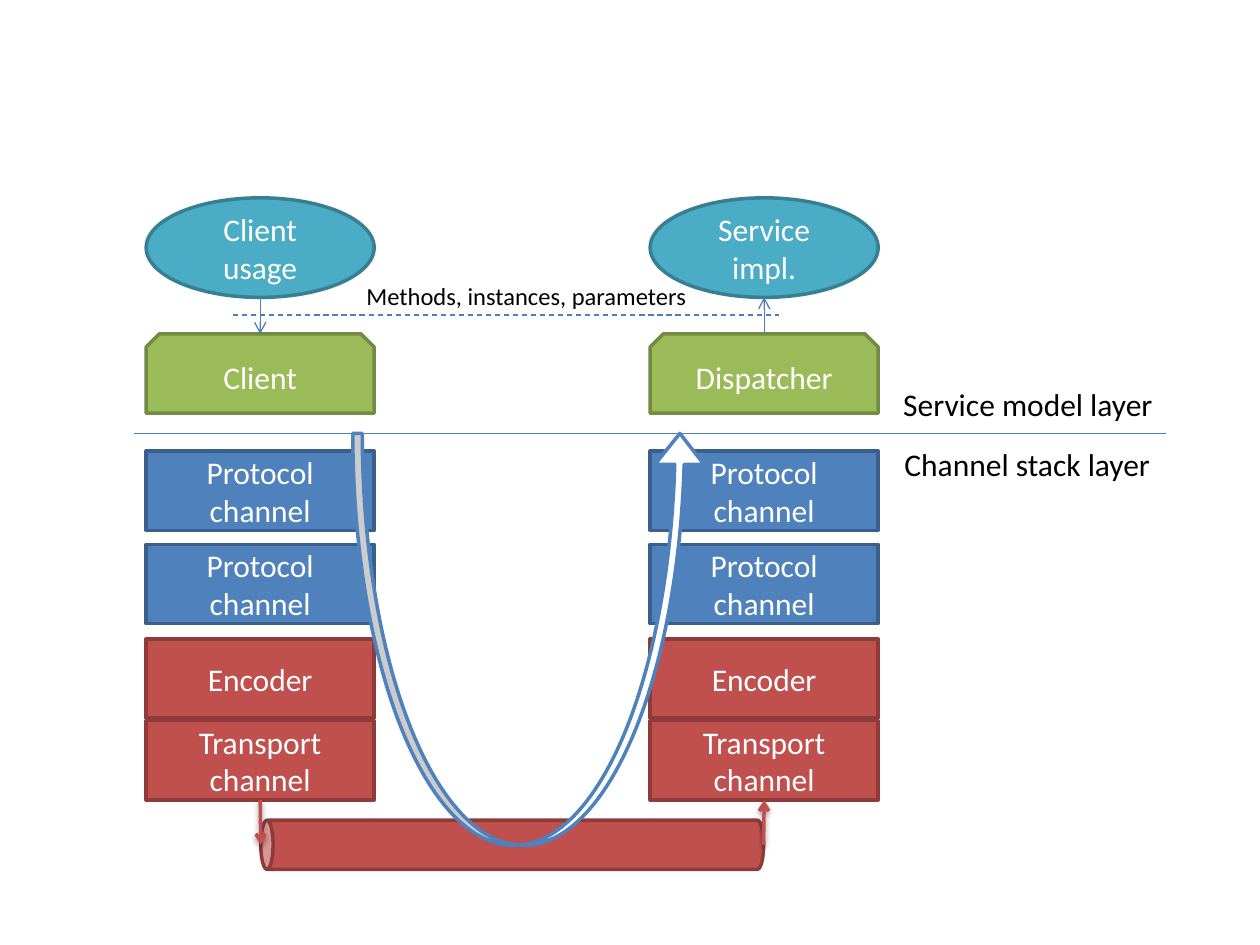
import pptx
import pptx.util
import pptx.dml.color
import pptx.enum.dml
import pptx.enum.shapes
import pptx.enum.text
import pptx.oxml
import pptx.oxml.ns

Inches = pptx.util.Inches
Pt = pptx.util.Pt
SHAPE = pptx.enum.shapes.MSO_SHAPE
ALIGN = pptx.enum.text.PP_ALIGN

COLORS = {
    "white": "FFFFFF", "black": "000000",
    "protocol": "4F81BD", "protocol_edge": "3A5F8C",
    "transport": "C0504D", "transport_edge": "8E3B39",
    "endpoint": "9BBB59", "endpoint_edge": "738A42",
    "user": "4BACC6", "user_edge": "377F92",
    "rule": "4B7EBC",
}
COLUMN_WIDTH = 1.81
BLOCK_HEIGHT = 0.63
OVAL_HEIGHT = 0.79


def rgb(name):
    return pptx.dml.color.RGBColor.from_string(COLORS[name])


def write_text(frame, text, size=18, color="black", align=ALIGN.LEFT, wrap=True):
    frame.word_wrap = wrap
    paragraph = frame.paragraphs[0]
    paragraph.alignment = align
    run = paragraph.add_run()
    run.text = text
    run.font.name = "Calibri"
    run.font.size = Pt(size)
    run.font.color.rgb = rgb(color)


def add_block(slide, kind, box, fill, edge, text=None):
    shape = slide.shapes.add_shape(kind, *map(Inches, box))
    shape.shadow.inherit = False
    shape.fill.solid()
    shape.fill.fore_color.rgb = rgb(fill)
    shape.line.color.rgb = rgb(edge)
    shape.line.width = Pt(2)
    if text:
        shape.text_frame.vertical_anchor = pptx.enum.text.MSO_ANCHOR.MIDDLE
        write_text(shape.text_frame, text, color="white", align=ALIGN.CENTER)
    return shape


def add_label(slide, box, text, size=18):
    label = slide.shapes.add_textbox(*map(Inches, box))
    write_text(label.text_frame, text, size=size, wrap=False)
    label.text_frame.auto_size = pptx.enum.text.MSO_AUTO_SIZE.SHAPE_TO_FIT_TEXT


def add_line(slide, start, end, color="rule", width=0.75, arrow=False,
             dashed=False, shadow=False):
    line = slide.shapes.add_connector(
        pptx.enum.shapes.MSO_CONNECTOR.STRAIGHT, *map(Inches, start + end))
    line.line.color.rgb = rgb(color)
    line.line.width = Pt(width)
    if dashed:
        line.line.dash_style = pptx.enum.dml.MSO_LINE.DASH
    if arrow:
        pptx.oxml.ns.qn("a:tailEnd")
        tail = pptx.oxml.parse_xml(
            f'<a:tailEnd {pptx.oxml.ns.nsdecls("a")} type="arrow"/>')
        line.line._get_or_add_ln().append(tail)
    outer = (
        '<a:outerShdw blurRad="40000" dist="20000" dir="5400000" rotWithShape="0">'
        f'<a:srgbClr val="{COLORS["black"]}"><a:alpha val="38000"/></a:srgbClr>'
        '</a:outerShdw>') if shadow else ""
    line._element.spPr.append(pptx.oxml.parse_xml(
        f'<a:effectLst {pptx.oxml.ns.nsdecls("a")}>{outer}</a:effectLst>'))
    return line


def add_channel_stack(slide, left, top):
    """Stack the channels downwards and return the transport block."""
    blocks = [
        ("Protocol channel", 0, "protocol"),
        ("Protocol channel", 0.74, "protocol"),
        ("Encoder", 1.49, "transport"),
        ("Transport channel", 2.14, "transport"),
    ]
    for text, offset, fill in blocks:
        block = add_block(
            slide, SHAPE.RECTANGLE,
            (left, top + offset, COLUMN_WIDTH, BLOCK_HEIGHT),
            fill, fill + "_edge", text)
    return block


def add_wire(slide, left, top, width, height, sender, receiver):
    """Draw the lying cylinder and the arrows that join it to both stacks."""
    middle = top + height / 2
    upright = (left + (width - height) / 2, middle - width / 2, height, width)
    wire = add_block(slide, SHAPE.CAN, upright, "transport", "transport_edge")
    wire.rotation = 270
    style = dict(color="transport", width=2, arrow=True, shadow=True)
    right = left + width
    up = add_line(slide, (right, middle), (right, 6.35), **style)
    up.end_connect(receiver, 2)
    down = add_line(slide, (left, 6.35), (left, middle), **style)
    down.begin_connect(sender, 2)


def add_service_model(slide, left, top, user, endpoint, calls_down):
    """Place the user code above its endpoint, with the call between them."""
    oval_bottom = top + OVAL_HEIGHT
    endpoint_top = top + 1.08
    add_block(slide, SHAPE.SNIP_2_SAME_RECTANGLE,
              (left, endpoint_top, COLUMN_WIDTH, BLOCK_HEIGHT),
              "endpoint", "endpoint_edge", endpoint)
    add_block(slide, SHAPE.OVAL, (left, top, COLUMN_WIDTH, OVAL_HEIGHT),
              "user", "user_edge", user)
    center = left + COLUMN_WIDTH / 2
    ends = [(center, oval_bottom), (center, endpoint_top)]
    if not calls_down:
        ends.reverse()
    add_line(slide, *ends, arrow=True)


def add_layer_border(slide, left, top, width):
    """Separate the two named layers."""
    add_line(slide, (left, top), (left + width, top))
    add_label(slide, (left + 6.01, top - 0.43, 2.21, 0.4), "Service model layer")
    add_label(slide, (left + 6.02, top + 0.04, 2.17, 0.4), "Channel stack layer")


def add_message_path(slide, left, top, width, height):
    """Curve the message path down one stack and up the other."""
    arrow = add_block(slide, SHAPE.CURVED_UP_ARROW, (left, top, width, height),
                      "white", "protocol")
    for index, value in enumerate((0.027, 0.139, 0.088)):
        arrow.adjustments[index] = value


def add_call_border(slide, left, top, width):
    """Mark what crosses between user code and endpoints."""
    add_line(slide, (left, top), (left + width, top), dashed=True)
    add_label(slide, (left + 0.96, top - 0.32, 2.77, 0.34),
              "Methods, instances, parameters", size=14)


def main():
    presentation = pptx.Presentation()
    presentation.slide_width = Inches(10)
    presentation.slide_height = Inches(7.5)
    slide = presentation.slides.add_slide(presentation.slide_layouts[6])

    client_left, service_left = 1.16, 5.16
    # Channel stacks and the wire between them
    sender = add_channel_stack(slide, client_left, 3.58)
    receiver = add_channel_stack(slide, service_left, 3.58)
    add_wire(slide, 2.07, 6.51, 3.99, 0.39, sender, receiver)
    # Service model
    add_service_model(slide, client_left, 1.57, "Client usage", "Client", True)
    add_service_model(slide, service_left, 1.57, "Service impl.", "Dispatcher", False)
    # Borders and message path
    add_layer_border(slide, 1.06, 3.44, 8.19)
    add_message_path(slide, 2.8, 3.44, 2.79, 3.27)
    add_call_border(slide, 1.85, 2.5, 4.33)

    presentation.save("out.pptx")


if __name__ == "__main__":
    main()
